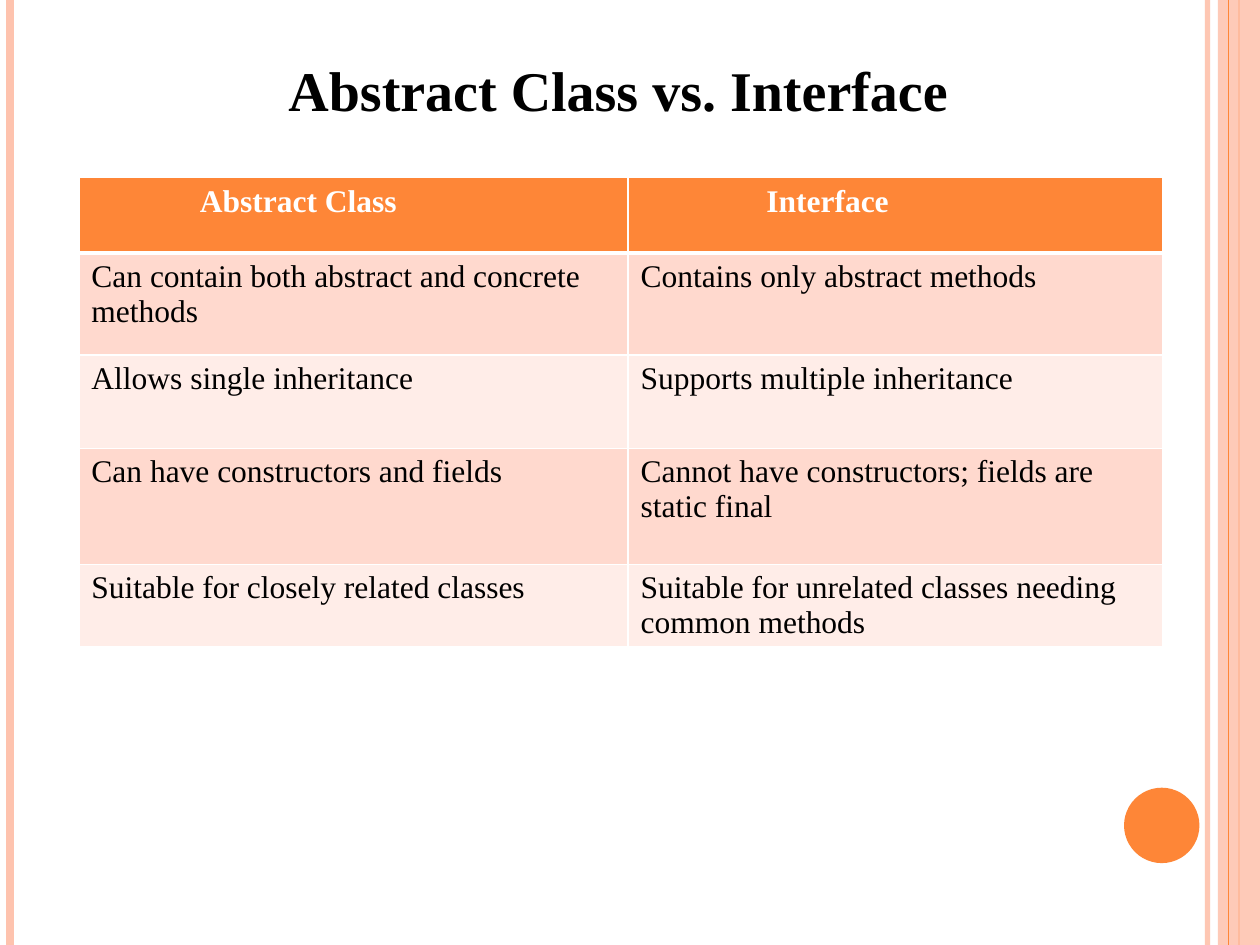
from pptx import Presentation
from pptx.dml.color import RGBColor
from pptx.enum.shapes import MSO_CONNECTOR as Connector, MSO_SHAPE as Shape
from pptx.enum.text import MSO_ANCHOR as Anchor, MSO_AUTO_SIZE as AutoSize, PP_ALIGN as Align
from pptx.oxml.ns import qn
from pptx.oxml.xmlchemy import OxmlElement as Element
from pptx.util import Cm, Pt

WIDTH, HEIGHT = Cm(25.4), Cm(19.05)
ORANGE, PEACH, WHITE, BLACK = "FE8637", "FEC3AE", "FFFFFF", "000000"
BANDS = ("FFD9CE", "FFEDE8")
FONT = "Times New Roman"
TITLE_FONT = {"name": FONT, "size": Pt(32), "bold": True}
HEADER_FONT = {"name": FONT, "size": Pt(18), "bold": True}
BODY_FONT = {"name": FONT, "size": Pt(18), "bold": False}
COLUMN_WIDTHS = (11.07, 10.77)
ROW_HEIGHTS = (1.52, 2.06, 1.88, 2.34, 1.63)
HEADER_MARGINS = (2.44, 2.79)
ROWS = (
    ("Abstract Class", "Interface"),
    ("Can contain both abstract and concrete methods", "Contains only abstract methods"),
    ("Allows single inheritance", "Supports multiple inheritance"),
    ("Can have constructors and fields", "Cannot have constructors; fields are static final"),
    ("Suitable for closely related classes", "Suitable for unrelated classes needing common methods"),
)


def rgb(value):
    """Turn a hex string into a colour."""
    return RGBColor.from_string(value)


def apply_format(target, values):
    """Set each attribute named in a dict of format values."""
    for name, value in values.items():
        setattr(target, name, value)


def write_text(text_frame, text, font_format, color):
    """Write one formatted run of text."""
    run = text_frame.paragraphs[0].add_run()
    run.text = text
    apply_format(run.font, font_format)
    run.font.color.rgb = rgb(color)


def set_opacity(shape, percent):
    """Make the colour of a shape partly transparent."""
    alpha = Element("a:alpha")
    alpha.set("val", str(percent * 1000))
    next(shape.element.iter(qn("a:srgbClr"))).append(alpha)


def add_stripe(slide, x, color, weight, opacity=100):
    """Add a vertical line over the full slide height."""
    stripe = slide.shapes.add_connector(Connector.STRAIGHT, Cm(x), 0, Cm(x), HEIGHT)
    stripe.line.color.rgb = rgb(color)
    stripe.line.width = Pt(weight)
    stripe.element.spPr.append(Element("a:effectLst"))
    if opacity < 100:
        set_opacity(stripe, opacity)


def add_filled_shape(slide, kind, box, color, opacity=100):
    """Add a preset shape without an outline."""
    shape = slide.shapes.add_shape(kind, *map(Cm, box))
    shape.shadow.inherit = False
    shape.fill.solid()
    shape.fill.fore_color.rgb = rgb(color)
    shape.line.fill.background()
    if opacity < 100:
        set_opacity(shape, opacity)


def add_title(slide, text):
    """Place and format the slide title."""
    title = slide.shapes.title
    apply_format(title, {"left": Cm(5.56), "top": Cm(0.99), "width": Cm(14.88), "height": Cm(1.63)})
    frame = title.text_frame
    apply_format(frame, {"word_wrap": True, "auto_size": AutoSize.NONE, "vertical_anchor": Anchor.TOP})
    write_text(frame, text, TITLE_FONT, BLACK)
    frame.paragraphs[0].alignment = Align.LEFT


def set_borders(cell, bottom_weight):
    """Draw white borders round a cell."""
    properties = cell._tc.get_or_add_tcPr()
    for index, (side, weight) in enumerate(zip("LRTB", (1, 1, 1, bottom_weight))):
        border = Element(f"a:ln{side}")
        border.set("w", str(Pt(weight)))
        fill, color = Element("a:solidFill"), Element("a:srgbClr")
        color.set("val", WHITE)
        fill.append(color)
        border.append(fill)
        properties.insert(index, border)


def add_comparison_table(slide):
    """Add the comparison with a header row and banded body rows."""
    table = slide.shapes.add_table(
        len(ROWS), len(COLUMN_WIDTHS), Cm(1.59), Cm(3.58),
        Cm(sum(COLUMN_WIDTHS)), Cm(sum(ROW_HEIGHTS))).table
    for column, width in zip(table.columns, COLUMN_WIDTHS):
        column.width = Cm(width)
    for row_index, texts in enumerate(ROWS):
        table.rows[row_index].height = Cm(ROW_HEIGHTS[row_index])
        is_header = row_index == 0
        for column_index, text in enumerate(texts):
            cell = table.cell(row_index, column_index)
            cell.fill.solid()
            cell.fill.fore_color.rgb = rgb(ORANGE if is_header else BANDS[(row_index - 1) % 2])
            set_borders(cell, 3 if is_header else 1)
            if is_header:
                cell.margin_left = Cm(HEADER_MARGINS[column_index])
                write_text(cell.text_frame, text, HEADER_FONT, WHITE)
            else:
                write_text(cell.text_frame, text, BODY_FONT, BLACK)


def main():
    """Build and save the slide."""
    presentation = Presentation()
    apply_format(presentation, {"slide_width": WIDTH, "slide_height": HEIGHT})
    slide = presentation.slides.add_slide(presentation.slide_layouts[5])
    add_stripe(slide, 24.34, PEACH, 3, 93)
    add_stripe(slide, 0.21, PEACH, 4.5)
    add_stripe(slide, 24.98, ORANGE, 1.5)
    add_filled_shape(slide, Shape.RECTANGLE, (24.55, 0, 0.85, 19.05), PEACH, 87)
    add_stripe(slide, 24.76, ORANGE, 0.75)
    add_filled_shape(slide, Shape.OVAL, (22.66, 15.88, 1.52, 1.52), ORANGE)
    add_comparison_table(slide)
    add_title(slide, "Abstract Class vs. Interface")
    presentation.save("out.pptx")


if __name__ == "__main__":
    main()
